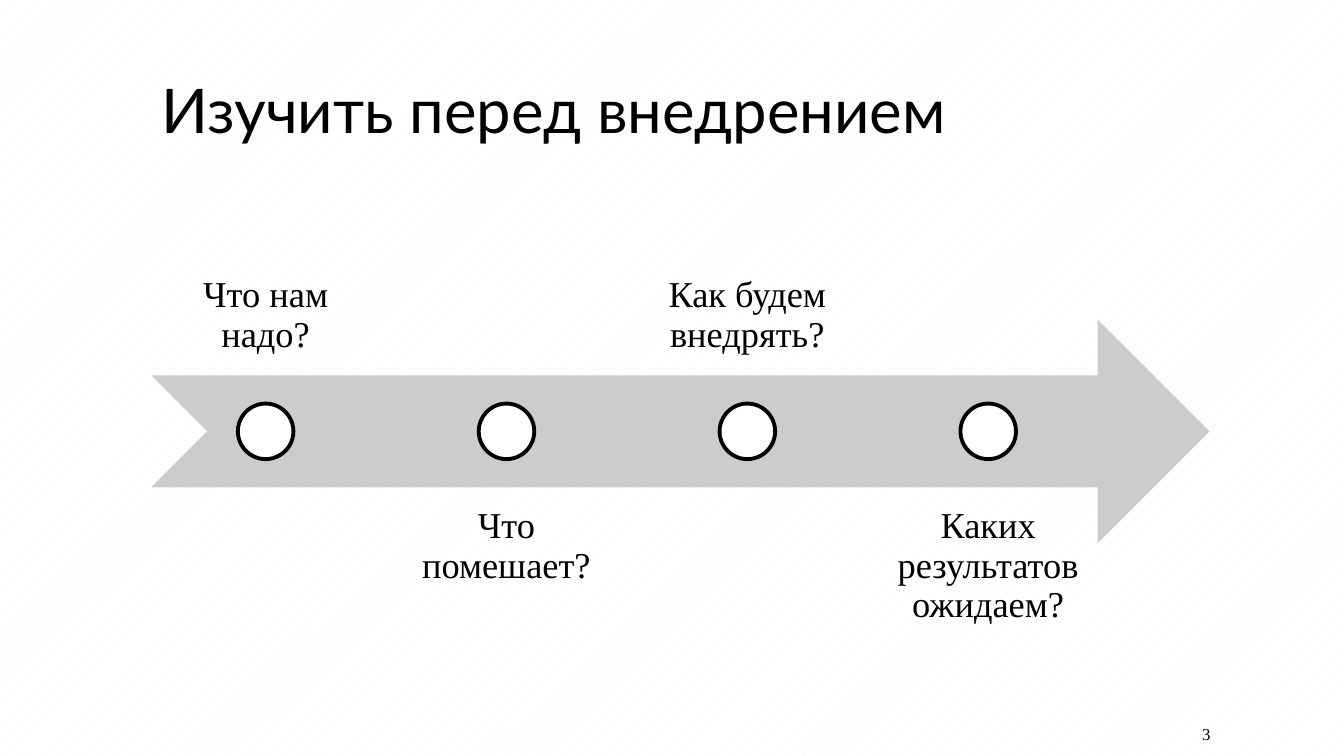
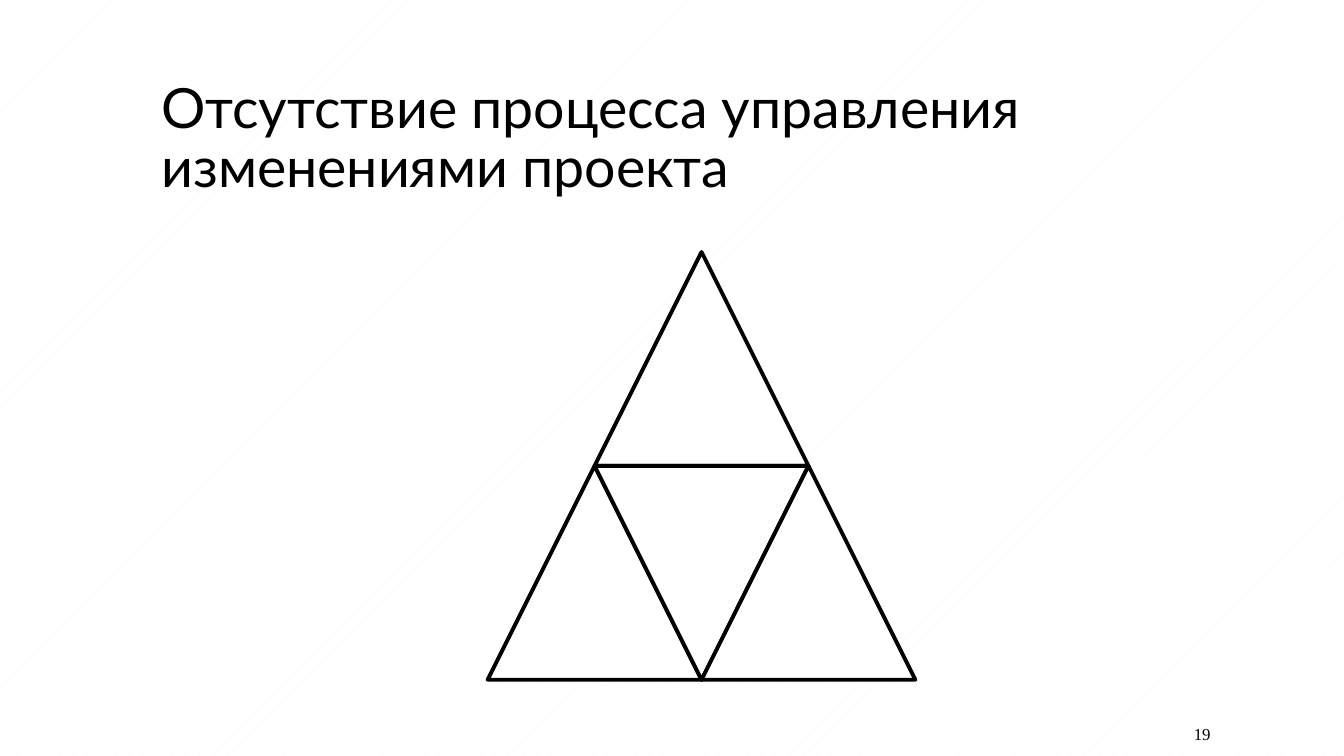
import pptx
import pptx.util
from dataclasses import dataclass
from pptx.dml.color import RGBColor
from pptx.enum.dml import MSO_PATTERN
from pptx.enum.shapes import MSO_SHAPE
from pptx.enum.text import MSO_ANCHOR, MSO_AUTO_SIZE, PP_ALIGN

Cm = pptx.util.Cm
Pt = pptx.util.Pt


@dataclass(frozen=True)
class Theme:
    ink: RGBColor = RGBColor(0x00, 0x00, 0x00)
    paper: RGBColor = RGBColor(0xFF, 0xFF, 0xFF)
    grain: RGBColor = RGBColor(0xF8, 0xF8, 0xF8)
    band: RGBColor = RGBColor(0xCC, 0xCC, 0xCC)
    head: str = "Lato"
    body: str = "Times New Roman"
    title: float = 44
    long: float = 39.6
    label: float = 26
    page: float = 12
    stroke: float = 2.75


class Deck:
    left, width = 3.81, 26.67

    def __init__(self, theme):
        self.theme = theme
        self.show = pptx.Presentation()
        self.show.slide_width = Cm(33.87)
        self.show.slide_height = Cm(19.05)
        self.slide = None

    def start(self, title, size, height, page):
        """Add a slide with its background, title and page number."""
        self.slide = self.show.slides.add_slide(self.show.slide_layouts[5])
        back = self.slide.background.fill
        back.patterned()
        back.pattern = MSO_PATTERN.PERCENT_5
        back.fore_color.rgb = self.theme.grain
        back.back_color.rgb = self.theme.paper

        head = self.slide.shapes.title
        head.left, head.top = Cm(self.left), Cm(1.91)
        head.width, head.height = Cm(self.width), Cm(height)
        self.fill_text(head.text_frame, title, self.theme.head, size,
                       PP_ALIGN.LEFT, MSO_ANCHOR.TOP, 0.89)
        self.text(page, (26.31, 17.93, 4.45, 1.12), self.theme.page,
                  PP_ALIGN.RIGHT, MSO_ANCHOR.MIDDLE)

    def fill_text(self, frame, words, font, size, align, anchor, space):
        frame.word_wrap = True
        frame.auto_size = MSO_AUTO_SIZE.NONE
        frame.vertical_anchor = anchor
        para = frame.paragraphs[0]
        para.alignment = align
        para.line_spacing = space
        run = para.add_run()
        run.text = words
        run.font.name = font
        run.font.size = Pt(size)
        run.font.color.rgb = self.theme.ink

    def text(self, words, box, size, align, anchor, space=1.0, inset=None):
        frame = self.slide.shapes.add_textbox(*map(Cm, box)).text_frame
        if inset is not None:
            frame.margin_left = frame.margin_right = Cm(inset)
            frame.margin_top = frame.margin_bottom = Cm(inset)
        self.fill_text(frame, words, self.theme.body, size, align, anchor,
                       space)

    def shape(self, kind, box, fill, line=True, turn=0):
        item = self.slide.shapes.add_shape(kind, *map(Cm, box))
        item.shadow.inherit = False
        item.rotation = turn
        item.fill.solid()
        item.fill.fore_color.rgb = fill
        if line:
            item.line.color.rgb = self.theme.ink
            item.line.width = Pt(self.theme.stroke)
        else:
            item.line.fill.background()


def steps(deck):
    theme = deck.theme
    deck.start("Изучить перед внедрением", theme.title, 1.93, "3")
    top, high = 8.05, 5.64
    wide, pitch, dot = 5.77, 6.07, 1.4
    deck.shape(MSO_SHAPE.NOTCHED_RIGHT_ARROW,
               (deck.left, top, deck.width, high), theme.band, line=False)
    labels = ("Что нам надо?", "Что помешает?", "Как будем внедрять?",
              "Каких результатов ожидаем?")
    for i, label in enumerate(labels):
        left = deck.left + i * pitch
        above = i % 2 == 0
        shift = -0.75 * high if above else 0.75 * high
        anchor = MSO_ANCHOR.BOTTOM if above else MSO_ANCHOR.TOP
        deck.text(label, (left, top + shift, wide, high), theme.label,
                  PP_ALIGN.CENTER, anchor, 0.9, 0.51)
        deck.shape(MSO_SHAPE.OVAL,
                   (left + (wide - dot) / 2, top + (high - dot) / 2, dot, dot),
                   theme.paper)


def pyramid(deck):
    theme = deck.theme
    deck.start("Отсутствие процесса управления изменениями проекта",
               theme.long, 4.11, "19")
    left, top, side = 12.29, 6.35, 5.39
    # Column in half sides, row in sides, rotation
    for col, row, turn in ((1, 0, 0), (0, 1, 0), (1, 1, 180), (2, 1, 0)):
        deck.shape(MSO_SHAPE.ISOSCELES_TRIANGLE,
                   (left + col * side / 2, top + row * side, side, side),
                   theme.paper, turn=turn)


def main():
    deck = Deck(Theme())
    steps(deck)
    pyramid(deck)
    deck.show.save("out.pptx")


if __name__ == "__main__":
    main()
